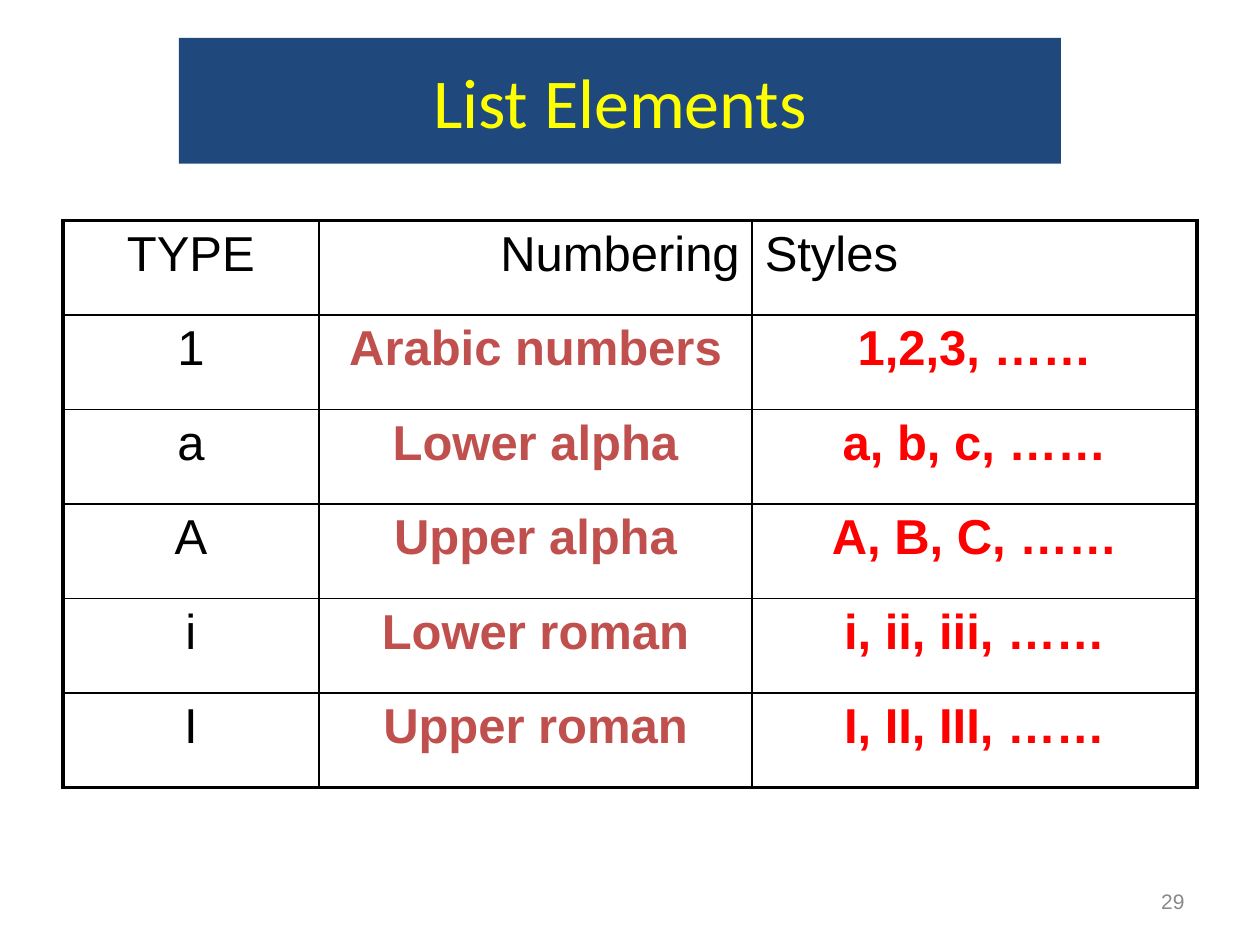
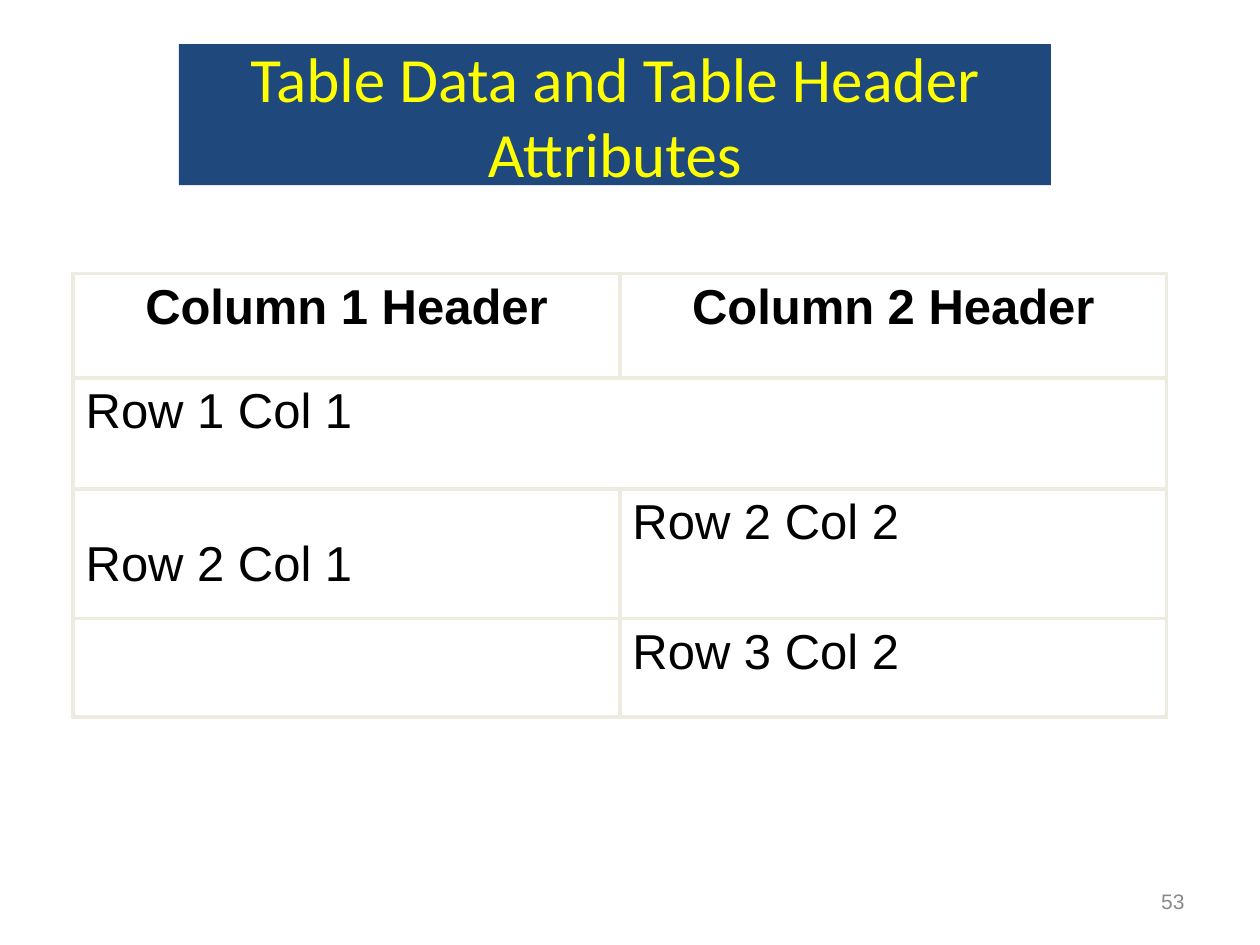
from lxml.etree import SubElement as Sub
from pptx import Presentation as Deck
from pptx.dml.color import RGBColor as Rgb
from pptx.enum.shapes import MSO_SHAPE as Kind
from pptx.enum.text import MSO_ANCHOR as Anchor, PP_ALIGN as Align
from pptx.oxml.ns import qn
from pptx.util import Inches, Pt

UNIT = 0.1
NAVY, GOLD, GREY = "1F497D", "FFFF00", "898989"
BLACK, WHITE, CREAM = "000000", "FFFFFF", "EEECE1"
BRICK, RED = "C0504D", "FF0000"
LEFT, MID, RIGHT = Align.LEFT, Align.CENTER, Align.RIGHT


def grid(steps):
    return Inches(round(steps * UNIT, 3))


def tint(code):
    return Rgb.from_string(code)


class Page:
    """Hold the deck style and draw on the current slide."""

    def __init__(self):
        self.deck = Deck()
        self.deck.slide_width, self.deck.slide_height = grid(100), grid(75)

    def start(self):
        self.slide = self.deck.slides.add_slide(self.deck.slide_layouts[6])

    def label(self, frame, text, size, hue, align=LEFT, face="Arial", bold=False):
        frame.text = text
        frame.word_wrap = True
        para = frame.paragraphs[0]
        para.alignment = align
        for run in para.runs:
            font = run.font
            font.name, font.size, font.bold = face, Pt(size), bold
            font.color.rgb = tint(hue)

    def title(self, text, top, wide, high, size):
        band = self.slide.shapes.add_shape(
            Kind.RECTANGLE, grid(14.2), grid(top), grid(wide), grid(high))
        band.shadow.inherit = False
        band.fill.solid()
        band.fill.fore_color.rgb = tint(NAVY)
        band.line.fill.background()
        self.label(band.text_frame, text, size, GOLD, MID, "Calibri")
        band.text_frame.vertical_anchor = Anchor.MIDDLE

    def number(self, text):
        box = self.slide.shapes.add_textbox(
            grid(71.7), grid(69.5), grid(23.3), grid(4))
        self.label(box.text_frame, text, 12, GREY, RIGHT)
        box.text_frame.vertical_anchor = Anchor.MIDDLE

    def edge(self, cell, side, hue, width):
        line = Sub(cell._tc.get_or_add_tcPr(), qn(f"a:ln{side}"), w=str(Pt(width)))
        fill = Sub(line, qn("a:solidFill"))
        Sub(fill, qn("a:srgbClr"), val=hue)

    def table(self, left, top, cols, rows, cells, hue, rim, rule):
        frame = self.slide.shapes.add_table(
            len(rows), len(cols), grid(left), grid(top),
            grid(sum(cols)), grid(sum(rows)))
        table = frame.table
        table.first_row = table.horz_banding = False
        for col, wide in zip(table.columns, cols):
            col.width = grid(wide)
        for row, high in zip(table.rows, rows):
            row.height = grid(high)
        for y, line in enumerate(cells):
            for x, (text, ink, align, bold) in enumerate(line):
                cell = table.cell(y, x)
                outer = {"L": x == 0, "R": x == len(cols) - 1,
                         "T": y == 0, "B": y == len(rows) - 1}
                for side, last in outer.items():
                    self.edge(cell, side, hue, rim if last else rule)
                cell.fill.solid()
                cell.fill.fore_color.rgb = tint(WHITE)
                if text:
                    self.label(cell.text_frame, text, 28, ink, align, bold=bold)
        return table


def lists(page):
    page.start()
    page.title("List Elements", 3, 70, 10, 40)
    kinds = [("1", "Arabic numbers", "1,2,3, ……"),
             ("a", "Lower alpha", "a, b, c, ……"),
             ("A", "Upper alpha", "A, B, C, ……"),
             ("i", "Lower roman", "i, ii, iii, ……"),
             ("I", "Upper roman", "I, II, III, ……")]
    head = [("TYPE", BLACK, MID, False), ("Numbering", BLACK, RIGHT, False),
            ("Styles", BLACK, LEFT, False)]
    body = [[(mark, BLACK, MID, False), (name, BRICK, MID, True),
             (show, RED, MID, True)] for mark, name, show in kinds]
    page.table(5, 17.5, [20.3, 34.4, 35.3], [7.5] * 6, [head] + body,
               BLACK, 2.25, 1)
    page.number("29")


def heads(page):
    page.start()
    page.title("Table Data and Table Header Attributes", 3.5, 69.2, 11.2, 36)
    head = [(f"Column {n} Header", BLACK, MID, True) for n in (1, 2)]
    texts = [("Row 1 Col 1", ""), ("Row 2 Col 1", "Row 2 Col 2"),
             ("", "Row 3 Col 2")]
    body = [[(text, BLACK, LEFT, False) for text in pair] for pair in texts]
    table = page.table(5.8, 21.7, [43.4] * 2, [8.3, 8.8, 10.3, 7.8],
                       [head] + body, CREAM, 2.25, 2.25)
    table.cell(1, 0).merge(table.cell(1, 1))
    table.cell(2, 0).margin_top = grid(3.8)
    page.number("53")


def main():
    page = Page()
    lists(page)
    heads(page)
    page.deck.save("out.pptx")


if __name__ == "__main__":
    main()
